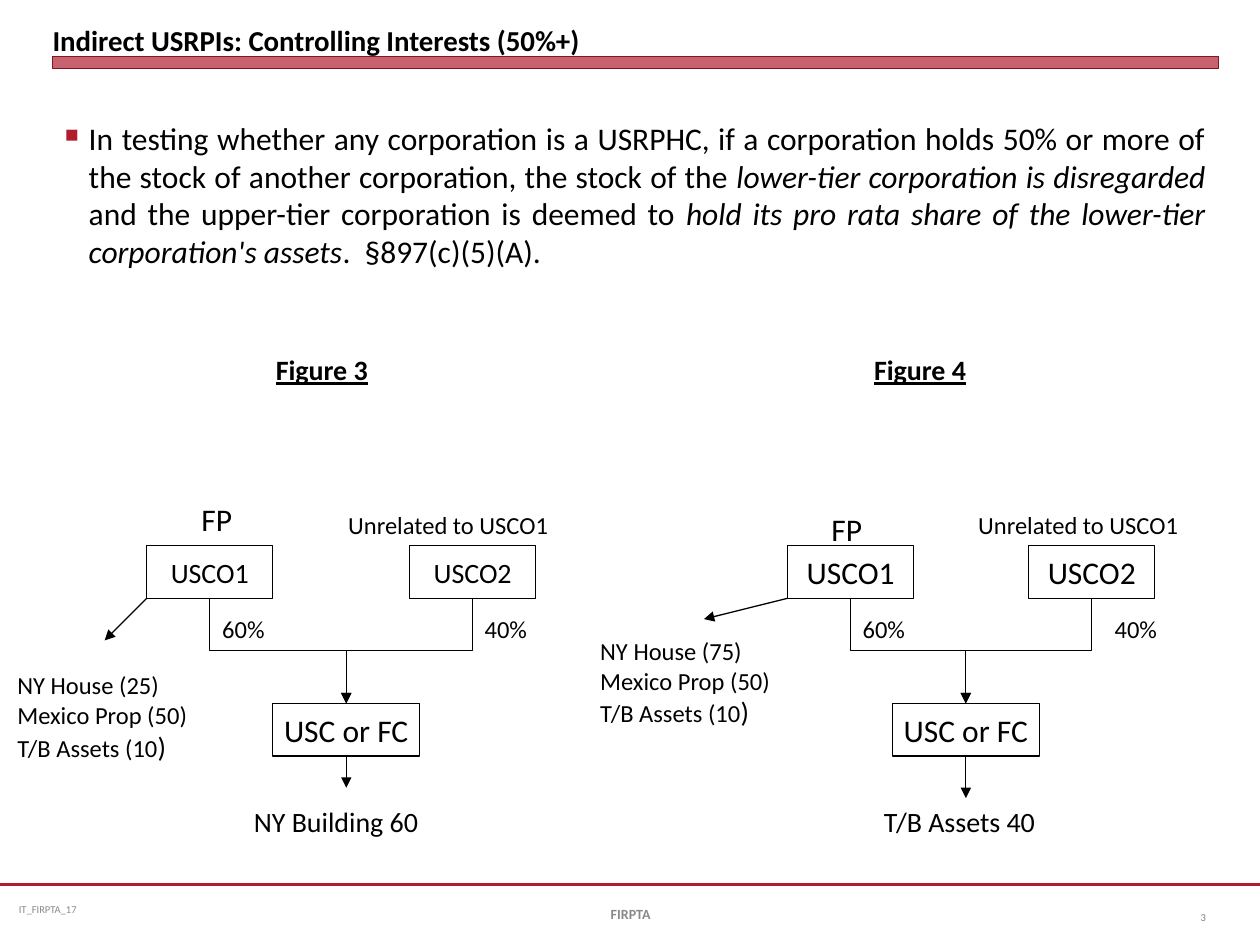
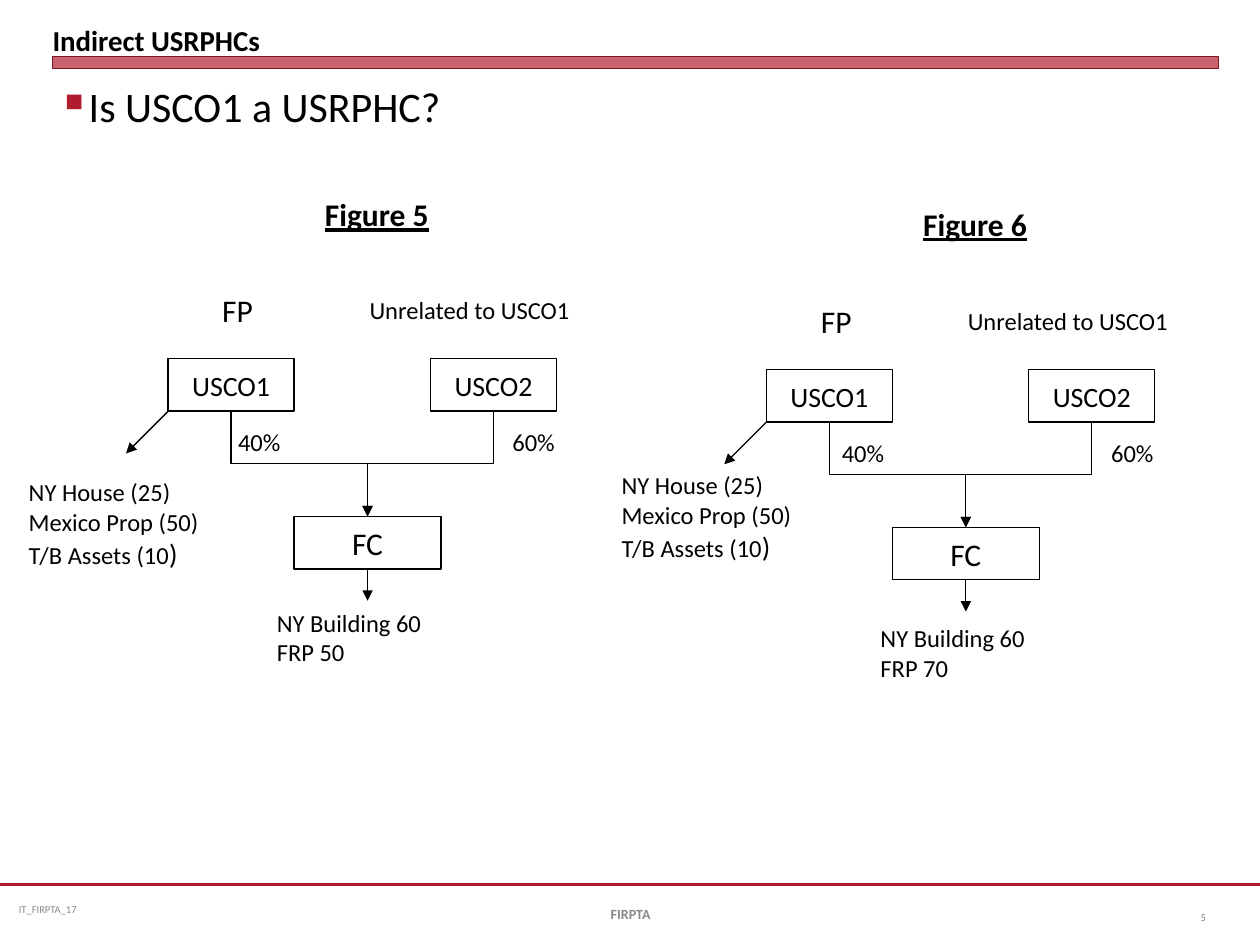
from dataclasses import dataclass

from lxml import etree
from pptx import Presentation
from pptx.dml.color import RGBColor
from pptx.enum import shapes, text
from pptx.oxml.ns import qn
from pptx.util import Cm, Pt

HUES = {"ink": "000000", "red": "B01C2E", "edge": "821522",
        "gray": "898989", "page": "808080"}
FACE = "Calibri"
LEFT, WIDE = 1.06, 23.5
BOX_W, SUB_W, BOX_H = 2.54, 2.96, 1.06
DROP = 3.18
ALIGN = text.PP_ALIGN
ANCHOR = text.MSO_ANCHOR


@dataclass
class Chart:
    """One ownership figure: box places in cm, labels and arrow offsets."""
    name: str
    name_at: tuple
    name_size: int
    one: float
    two: float
    sub: float
    top: float
    sub_name: str
    fp_at: tuple
    other_at: tuple
    shares: tuple
    share_x: tuple
    house: int
    assets_at: tuple
    held: list
    held_at: tuple
    held_w: float
    held_size: int
    size: int = 16
    tip: tuple = (-0.85, 0.85)
    fall: float = 0.64


def hue(key):
    """Return a named colour."""
    return RGBColor.from_string(HUES[key])


def node(parent, tag, **attrs):
    """Append a drawing element to a parent."""
    item = etree.SubElement(parent, qn(tag))
    for key, value in attrs.items():
        item.set(key, str(value))
    return item


def style(font, size, color="ink", bold=False, under=False):
    """Set the face, size and colour of a font."""
    font.name, font.size, font.bold = FACE, Pt(size), bold
    font.underline = under
    font.color.rgb = hue(color)


def write(frame, lines, size, align=ALIGN.LEFT, **look):
    """Fill a frame with lines; a line is a string or (text, changes) runs."""
    for i, line in enumerate(lines):
        para = frame.add_paragraph() if i else frame.paragraphs[0]
        para.alignment = align
        style(para.font, size, **look)
        for words, changes in [(line, {})] if isinstance(line, str) else line:
            run = para.add_run()
            run.text = words
            for key, value in changes.items():
                setattr(run.font, key, value)


def label(slide, at, size, lines, anchor=ANCHOR.TOP, pad=None, **look):
    """Add a text box at (left, top, width, height)."""
    frame = slide.shapes.add_textbox(*map(Cm, at)).text_frame
    frame.word_wrap = True
    frame.vertical_anchor = anchor
    if pad is not None:
        frame.margin_left = frame.margin_right = Cm(pad)
        frame.margin_top = frame.margin_bottom = Cm(pad / 2)
    write(frame, lines, size, **look)
    return frame


def box(slide, left, top, width, name, size):
    """Add an outlined company box."""
    item = slide.shapes.add_shape(shapes.MSO_SHAPE.RECTANGLE,
                                  *map(Cm, (left, top, width, BOX_H)))
    item.shadow.inherit = False
    item.fill.background()
    item.line.color.rgb = hue("ink")
    item.line.width = Pt(0.75)
    frame = item.text_frame
    frame.word_wrap = False
    frame.vertical_anchor = ANCHOR.MIDDLE
    write(frame, [name], size, ALIGN.CENTER)


def line(slide, start, end, color="ink", width=0.75, arrow=True, bent=False):
    """Add a straight line, or an elbow that leaves and arrives vertically."""
    (x1, y1), (x2, y2) = start, end
    kind = shapes.MSO_CONNECTOR.STRAIGHT
    if bent:
        kind = shapes.MSO_CONNECTOR.ELBOW
        right = x2 > x1
        mid_x, mid_y = (x1 + x2) / 2, (y1 + y2) / 2
        half_w, half_h = (y2 - y1) / 2, abs(x2 - x1) / 2
        x1, x2 = mid_x - half_w, mid_x + half_w
        y1, y2 = mid_y - half_h, mid_y + half_h
        if right:
            x1, x2 = x2, x1
    item = slide.shapes.add_connector(kind, *map(Cm, (x1, y1, x2, y2)))
    item.line.color.rgb = hue(color)
    item.line.width = Pt(width)
    props = item._element.spPr
    if bent:
        turn = 270 if right else 90
        props.find(qn("a:xfrm")).set("rot", str(turn * 60000))
    if arrow:
        node(props.find(qn("a:ln")), "a:tailEnd", type="triangle")
    node(props, "a:effectLst")


def bullet(slide, top, height, size, runs):
    """Add a justified paragraph with a red square bullet."""
    frame = label(slide, (LEFT, top, WIDE, height), size, [runs],
                  align=ALIGN.JUSTIFY)
    props = frame.paragraphs[0]._p.get_or_add_pPr()
    props.set("marL", str(Cm(0.48)))
    props.set("indent", str(-Cm(0.48)))
    last = props.find(qn("a:defRPr"))
    node(node(props, "a:buClr"), "a:srgbClr", val=HUES["red"])
    node(props, "a:buSzPct", val=60000)
    node(props, "a:buChar", char="■")
    props.append(last)


def base(deck, title, page):
    """Add a slide with its title, band and footer."""
    slide = deck.slides.add_slide(deck.slide_layouts[6])
    mid = ANCHOR.MIDDLE
    line(slide, (0, 17.83), (25.4, 17.83), "red", 1.25, arrow=False)
    label(slide, (0.2, 17.83, 6.55, 1.02), 6, ["IT_FIRPTA_17"], mid, 0.18,
          color="gray")
    band = slide.shapes.add_shape(shapes.MSO_SHAPE.RECTANGLE,
                                  *map(Cm, (LEFT, 1.14, WIDE, 0.25)))
    band.shadow.inherit = False
    band.fill.solid()
    band.fill.fore_color.rgb = hue("red")
    tint = band._element.spPr.find(qn("a:solidFill"))[0]
    node(tint, "a:alpha", val=69000)
    band.line.color.rgb = hue("edge")
    band.line.width = Pt(0)
    label(slide, (LEFT, 0.13, WIDE, 1.02), 16.5, [title], ANCHOR.BOTTOM, 0,
          bold=True)
    label(slide, (8.69, 17.91, 8.05, 1.02), 8, ["FIRPTA"], mid,
          align=ALIGN.CENTER, color="gray", bold=True)
    label(slide, (23.29, 17.98, 1.27, 1.02), 6, [str(page)], mid,
          align=ALIGN.RIGHT, color="page")
    return slide


def draw(slide, fig):
    """Draw one ownership figure."""
    low, sub_top = fig.top + BOX_H, fig.top + DROP
    hub = fig.sub + SUB_W / 2
    label(slide, (*fig.name_at, 2.65, 1.02), fig.name_size, [fig.name],
          bold=True, under=True)
    label(slide, (*fig.fp_at, 1.2, 1.02), 18, ["FP"])
    label(slide, (*fig.other_at, 4.62, 0.86), 14, ["Unrelated to USCO1"])
    owners = zip((fig.one, fig.two), ("USCO1", "USCO2"),
                 fig.shares, fig.share_x)
    for left, name, share, share_x in owners:
        box(slide, left, fig.top, BOX_W, name, fig.size)
        line(slide, (left + BOX_W / 2, low), (hub, sub_top), bent=True)
        label(slide, (share_x, fig.top + 1.25, 1.5, 0.86), 14, [share])
    box(slide, fig.sub, sub_top, SUB_W, fig.sub_name, 18)
    line(slide, (fig.one, low), (fig.one + fig.tip[0], low + fig.tip[1]))
    line(slide, (hub, sub_top + BOX_H), (hub, sub_top + BOX_H + fig.fall))
    label(slide, (*fig.assets_at, 4.25, 2.11), 14,
          [f"NY House ({fig.house})", "Mexico Prop (50)",
           [("T/B Assets (10", {}), (")", {"size": Pt(16)})]])
    label(slide, (*fig.held_at, fig.held_w, 0.94 if len(fig.held) == 1 else 1.45),
          fig.held_size, fig.held)


def main():
    """Build and save the deck."""
    deck = Presentation()
    deck.slide_width, deck.slide_height = Cm(25.4), Cm(19.05)
    slant = {"italic": True}

    slide = base(deck, "Indirect USRPIs: Controlling Interests (50%+)", 3)
    bullet(slide, 2.27, 3.4, 18, [
        ("In testing whether any corporation is a USRPHC, if a corporation "
         "holds 50% or more of the stock of another corporation, the stock "
         "of the ", {}),
        ("lower-tier corporation is disregarded ", slant),
        ("and the upper-tier corporation is deemed to ", {}),
        ("hold its pro rata share of the lower-tier corporation's assets",
         slant),
        (".  §897(c)(5)(A).", {})])
    draw(slide, Chart(
        "Figure 3", (5.31, 6.99), 16, 2.96, 8.26, 5.5, 11, "USC or FC",
        (3.81, 9.95), (6.77, 10.16), ("60%", "40%"), (4.23, 9.52),
        25, (0.1, 13.39), ["NY Building 60"], (4.87, 16.09), 3.9, 16))
    draw(slide, Chart(
        "Figure 4", (17.37, 6.99), 16, 15.88, 20.74, 17.99, 11, "USC or FC",
        (16.51, 10.16), (19.47, 10.16), ("60%", "40%"), (17.14, 22.22),
        75, (11.85, 12.7), ["T/B Assets 40"], (17.57, 16.09), 3.65, 16,
        size=18, tip=(-1.69, 0.42), fall=0.85))

    slide = base(deck, "Indirect USRPHCs", 5)
    bullet(slide, 1.5, 1.4, 24, [("Is USCO1 a USRPHC?", {})])
    draw(slide, Chart(
        "Figure 5", (6.3, 3.81), 18, 3.39, 8.68, 5.93, 7.23, "FC",
        (4.23, 5.75), (7.2, 5.82), ("40%", "60%"), (4.55, 10.08),
        25, (0.33, 9.5), ["NY Building 60", "FRP 50"], (5.33, 12.13),
        5.23, 14))
    draw(slide, Chart(
        "Figure 6", (18.36, 4.01), 18, 15.45, 20.74, 17.99, 7.45, "FC",
        (16.3, 5.97), (19.26, 6.04), ("40%", "60%"), (16.72, 22.15),
        25, (12.28, 9.36), ["NY Building 60", "FRP 70"], (17.5, 12.44),
        5.23, 14))
    deck.save("out.pptx")


if __name__ == "__main__":
    main()
